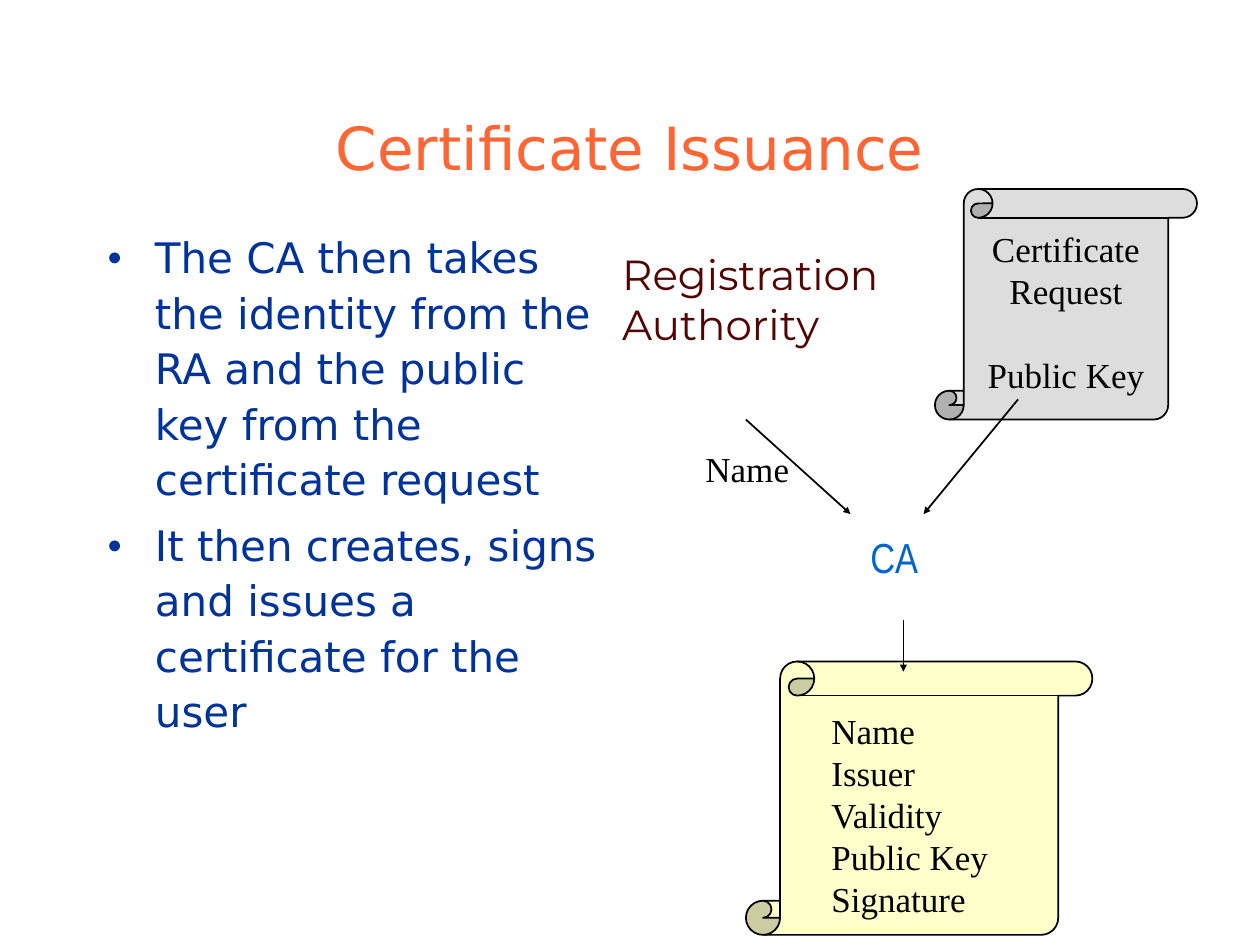
from lxml import etree
from pptx import Presentation
from pptx.dml.color import RGBColor
from pptx.enum.shapes import MSO_CONNECTOR, MSO_SHAPE
from pptx.enum.text import MSO_ANCHOR, MSO_AUTO_SIZE, PP_ALIGN
from pptx.oxml.ns import qn
from pptx.util import Inches, Pt

ORANGE = RGBColor(0xFF, 0x66, 0x33)
NAVY = RGBColor(0x00, 0x33, 0x99)
MAROON = RGBColor(0x52, 0x04, 0x02)
BLUE = RGBColor(0x00, 0x66, 0xCC)
BLACK = RGBColor(0x00, 0x00, 0x00)
GREY = RGBColor(0xDD, 0xDD, 0xDD)
CREAM = RGBColor(0xFF, 0xFF, 0xCC)

SANS, SERIF = "DejaVu Sans", "Times New Roman"
LEFT, CENTER = PP_ALIGN.LEFT, PP_ALIGN.CENTER
TOP, MIDDLE, BOTTOM = MSO_ANCHOR.TOP, MSO_ANCHOR.MIDDLE, MSO_ANCHOR.BOTTOM
FIXED, GROW = MSO_AUTO_SIZE.NONE, MSO_AUTO_SIZE.SHAPE_TO_FIT_TEXT
SCROLL, RECTANGLE = MSO_SHAPE.VERTICAL_SCROLL, MSO_SHAPE.RECTANGLE
STRAIGHT = MSO_CONNECTOR.STRAIGHT


def inches(*lengths):
    return [Inches(length) for length in lengths]


def write(shape, lines, font, size, color, align=LEFT, anchor=TOP, wrap=False, fit=FIXED):
    """Fill a shape with one formatted paragraph per line."""
    frame = shape.text_frame
    frame.text = "\n".join(lines)
    frame.word_wrap = wrap
    frame.auto_size = fit
    frame.vertical_anchor = anchor
    for para in frame.paragraphs:
        para.alignment = align
        for span in para.runs:
            span.font.name = font
            span.font.size = Pt(size)
            span.font.color.rgb = color
    return frame


def add_label(page, box, lines, font, size, color):
    label = page.shapes.add_textbox(*inches(*box))
    write(label, lines, font, size, color)


def add_panel(page, kind, box, fill, outlined=True):
    panel = page.shapes.add_shape(kind, *inches(*box))
    panel.shadow.inherit = False
    panel.fill.solid()
    panel.fill.fore_color.rgb = fill
    if outlined:
        panel.line.color.rgb = BLACK
        panel.line.width = Pt(1)
    else:
        panel.line.fill.background()
    return panel


def add_arrow(page, start, end):
    arrow = page.shapes.add_connector(STRAIGHT, *inches(*start, *end))
    arrow.line.color.rgb = BLACK
    arrow.line.width = Pt(1)
    line = arrow.line._get_or_add_ln()
    etree.SubElement(line, qn("a:tailEnd"), type="triangle", w="sm", len="sm")
    etree.SubElement(arrow._element.spPr, qn("a:effectLst"))


def add_bullet(para):
    properties = para._p.get_or_add_pPr()
    properties.set("marL", str(Inches(0.38)))
    properties.set("indent", str(-Inches(0.38)))
    color = etree.SubElement(properties, qn("a:buClr"))
    etree.SubElement(color, qn("a:srgbClr"), val=str(NAVY))
    etree.SubElement(properties, qn("a:buSzPct"), val="60000")
    etree.SubElement(properties, qn("a:buChar"), char="●")


def place(shape, box):
    shape.left, shape.top, shape.width, shape.height = inches(*box)


def fill_title(page, box):
    title = page.shapes.title
    place(title, box)
    write(title, ["Certificate Issuance"], SANS, 34, ORANGE, CENTER, BOTTOM, wrap=True)


def fill_body(page, box):
    body = page.placeholders[1]
    place(body, box)
    points = [
        "The CA then takes the identity from the RA and the public key "
        "from the certificate request",
        "It then creates, signs and issues a certificate for the user",
    ]
    frame = write(body, points, SANS, 24, NAVY, wrap=True)
    for number, para in enumerate(frame.paragraphs):
        add_bullet(para)
        para.line_spacing = 1.1
        para.space_before = Pt(6 if number else 0)


def add_request(page, box):
    scroll = add_panel(page, SCROLL, box, GREY)
    lines = ["Certificate", "Request", "Public Key"]
    frame = write(scroll, lines, SERIF, 20, BLACK, CENTER, MIDDLE)
    frame.paragraphs[-1].space_before = Pt(24)


def add_certificate(page, box):
    left, top, width, height = box
    add_panel(page, SCROLL, box, CREAM)
    # Field list inside the scroll
    field_box = (left + 0.58, top + 0.33, width - 1.25, height - 0.4)
    fields = add_panel(page, RECTANGLE, field_box, CREAM, outlined=False)
    lines = ["Name", "Issuer", "Validity", "Public Key", "Signature"]
    write(fields, lines, SERIF, 20, BLACK, wrap=True, fit=GROW)


def add_flow(page, box):
    """Draw the issuing flow: authority and request, CA, certificate."""
    left, top, width, height = box
    right, bottom = left + width, top + height
    # Sources
    add_label(page, (left - 0.16, top + 0.42, 2.24, 1.25),
              ["Registration", "Authority"], "Montserrat", 24, MAROON)
    add_request(page, (right - 2.08, top, 2.08, 1.83))
    # Result
    add_certificate(page, (left + 0.92, bottom - 2.17, 2.75, 2.17))
    # Issuer
    add_label(page, (left + 1.81, top + 2.67, 0.6, 0.63), ["CA"], "Arial Narrow", 24, BLUE)
    # Arrows
    into_ca = top + 2.58
    add_arrow(page, (left + 0.92, top + 1.83), (left + 1.75, into_ca))
    add_arrow(page, (left + 3.08, top + 1.67), (left + 2.33, into_ca))
    add_arrow(page, (left + 2.17, top + 3.42), (left + 2.17, top + 3.83))
    add_label(page, (left + 0.5, top + 2, 0.95, 0.44), ["Name"], SERIF, 20, BLACK)


def main():
    deck = Presentation()
    deck.slide_width, deck.slide_height = inches(10, 7.5)
    page = deck.slides.add_slide(deck.slide_layouts[1])
    fill_title(page, (0.75, 0.67, 8.5, 0.83))
    fill_body(page, (0.75, 1.75, 4.17, 4.75))
    add_flow(page, (5, 1.5, 4.5, 5.92))
    deck.save("out.pptx")


if __name__ == "__main__":
    main()
